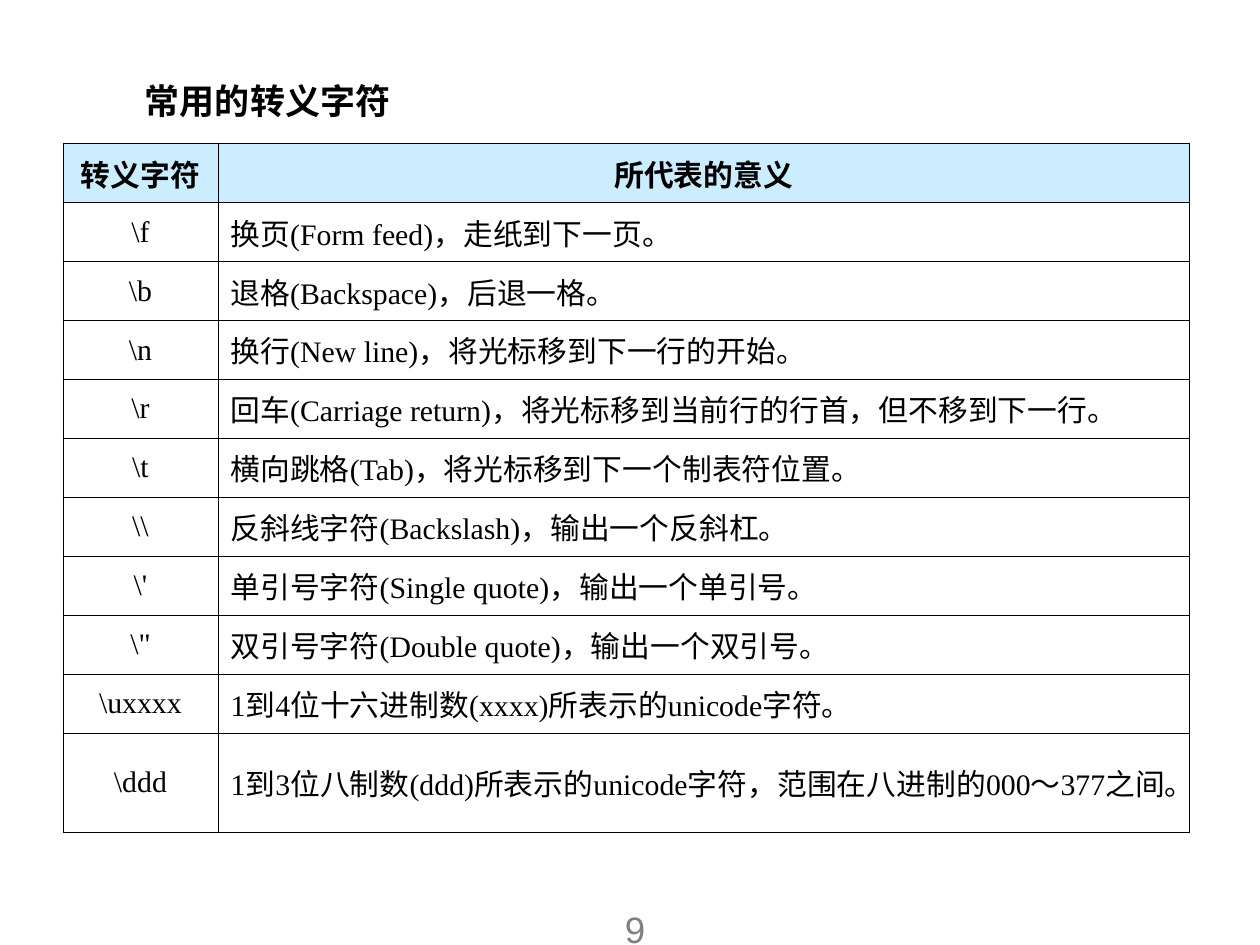
import lxml.etree
import pptx
import pptx.dml.color
import pptx.enum.text
import pptx.oxml
import pptx.oxml.ns
import pptx.util

Inches = pptx.util.Inches
Pt = pptx.util.Pt
ALIGN = pptx.enum.text.PP_ALIGN
ANCHOR = pptx.enum.text.MSO_ANCHOR
SERIF = "Times New Roman"
BLACK = "000000"
HEADER_FILL = "CCECFF"

HEADINGS = ("转义字符", "所代表的意义")
ESCAPES = [
    (r"\f", "换页(Form feed)，走纸到下一页。"),
    (r"\b", "退格(Backspace)，后退一格。"),
    (r"\n", "换行(New line)，将光标移到下一行的开始。"),
    (r"\r", "回车(Carriage return)，将光标移到当前行的行首，但不移到下一行。"),
    (r"\t", "横向跳格(Tab)，将光标移到下一个制表符位置。"),
    (r"\\", "反斜线字符(Backslash)，输出一个反斜杠。"),
    (r"\'", "单引号字符(Single quote)，输出一个单引号。"),
    (r'\"', "双引号字符(Double quote)，输出一个双引号。"),
    (r"\uxxxx", "1到4位十六进制数(xxxx)所表示的unicode字符。"),
    (r"\ddd", "1到3位八制数(ddd)所表示的unicode字符，范围在八进制的000～377之间。"),
]


def color(value):
    return pptx.dml.color.RGBColor.from_string(value)


def add_run(paragraph, text, size, font=SERIF, fill=BLACK, bold=False):
    run = paragraph.add_run()
    run.text = text
    run.font.name = font
    run.font.size = Pt(size)
    run.font.bold = bold
    run.font.color.rgb = color(fill)


def border_cell(cell, width=0.45):
    properties = cell._tc.get_or_add_tcPr()
    for side in ("lnL", "lnR", "lnT", "lnB"):
        line = lxml.etree.SubElement(
            properties, pptx.oxml.ns.qn(f"a:{side}"), w=str(Pt(width)))
        fill = lxml.etree.SubElement(line, pptx.oxml.ns.qn("a:solidFill"))
        lxml.etree.SubElement(fill, pptx.oxml.ns.qn("a:srgbClr"), val=BLACK)


def fill_cell(cell, text, align, heading):
    border_cell(cell)
    if heading:
        cell.fill.solid()
        cell.fill.fore_color.rgb = color(HEADER_FILL)
    else:
        cell.fill.background()
    cell.vertical_anchor = ANCHOR.MIDDLE
    paragraph = cell.text_frame.paragraphs[0]
    paragraph.alignment = align
    # Hanging indent for wrapped lines
    indents = paragraph._p.get_or_add_pPr()
    indents.set("marL", str(Inches(0.36)))
    indents.set("indent", str(Inches(-0.36)))
    add_run(paragraph, text, 17, bold=heading)


def place_title(slide, left, top, width, height):
    title = slide.shapes.title
    title.left, title.top, title.width, title.height = left, top, width, height
    frame = title.text_frame
    frame.word_wrap = False
    frame.auto_size = pptx.enum.text.MSO_AUTO_SIZE.SHAPE_TO_FIT_TEXT
    frame.vertical_anchor = ANCHOR.MIDDLE
    paragraph = frame.paragraphs[0]
    paragraph.alignment = ALIGN.LEFT
    add_run(paragraph, "常用的转义字符", 20, bold=True)


def place_escape_table(slide, left, top, width, height):
    rows = [HEADINGS] + ESCAPES
    table = slide.shapes.add_table(len(rows), 2, left, top, width, height).table
    code_width = Inches(1.23)
    table.columns[0].width = code_width
    table.columns[1].width = width - code_width
    # The last row is taller, as its meaning takes two lines
    last_height = Inches(0.79)
    for row in table.rows:
        row.height = (height - last_height) // len(ESCAPES)
    table.rows[len(ESCAPES)].height = last_height
    for row_index, texts in enumerate(rows):
        heading = row_index == 0
        for column_index, text in enumerate(texts):
            centred = heading or column_index == 0
            fill_cell(table.cell(row_index, column_index), text,
                      ALIGN.CENTER if centred else ALIGN.LEFT, heading)


def place_page_number(slide, left, top, width, height):
    page_number = slide.shapes.add_textbox(left, top, width, height)
    page_number.text_frame.word_wrap = True
    paragraph = page_number.text_frame.paragraphs[0]
    paragraph.alignment = ALIGN.CENTER
    add_run(paragraph, "9", 21, font="Arial", fill="808080")


def main():
    deck = pptx.Presentation()
    deck.slide_width, deck.slide_height = Inches(10), Inches(7.5)
    slide = deck.slides.add_slide(deck.slide_layouts.get_by_name("Title Only"))
    place_title(slide, Inches(1.05), Inches(0.58), Inches(2.15), Inches(0.44))
    place_escape_table(slide, Inches(0.5), Inches(1.14), Inches(8.94), Inches(5.47))
    place_page_number(slide, Inches(4.58), Inches(7.15), Inches(0.92), Inches(0.29))
    deck.save("out.pptx")


if __name__ == "__main__":
    main()
